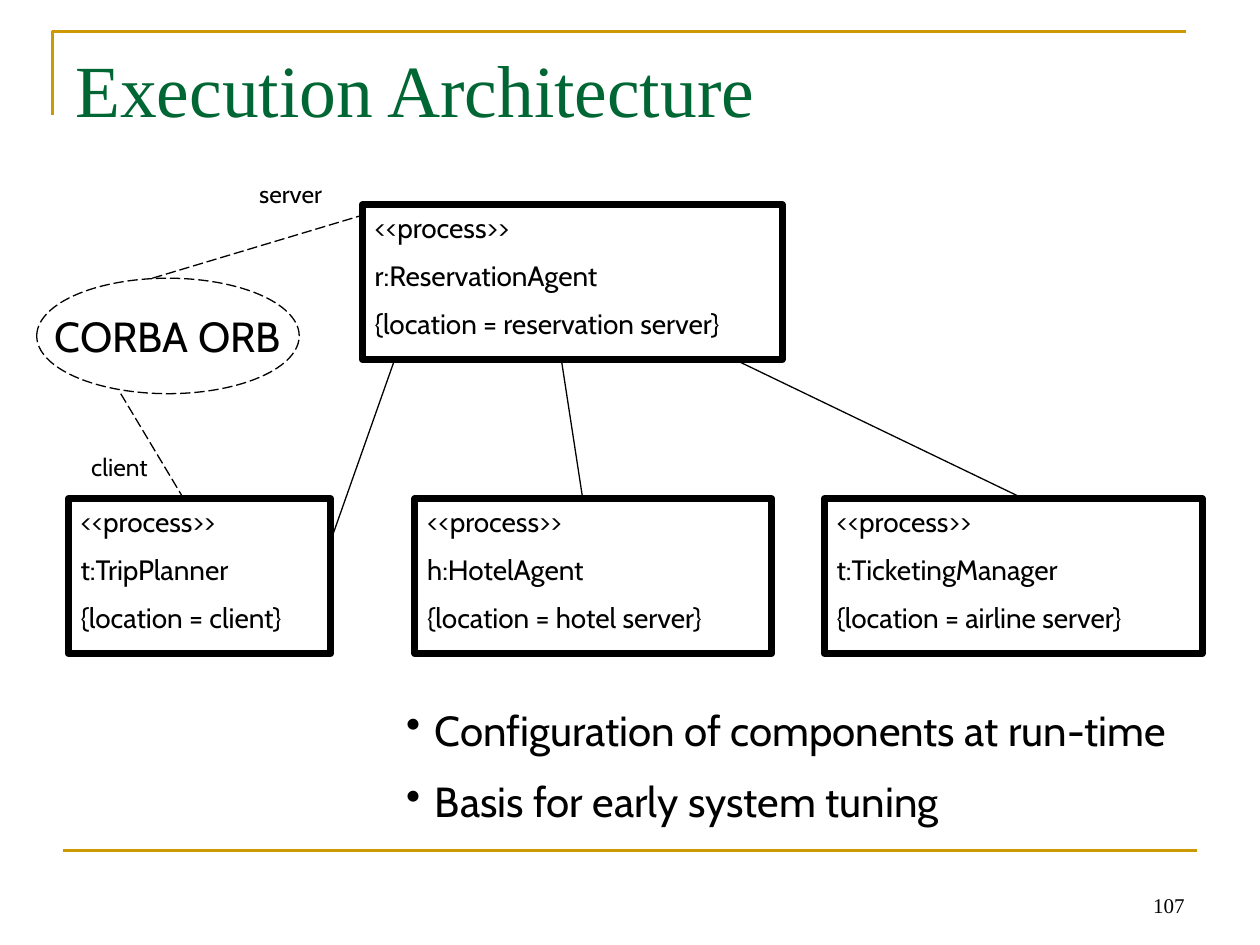
import lxml.etree
import pptx
import pptx.dml.color
import pptx.enum.dml
import pptx.enum.shapes
import pptx.enum.text
import pptx.oxml.ns
import pptx.util

Pt = pptx.util.Pt
Align = pptx.enum.text.PP_ALIGN
Anchor = pptx.enum.text.MSO_ANCHOR
Shape = pptx.enum.shapes.MSO_SHAPE
qn = pptx.oxml.ns.qn

BLACK = pptx.dml.color.RGBColor(0x00, 0x00, 0x00)
GOLD = pptx.dml.color.RGBColor(0xCC, 0x99, 0x00)
GREEN = pptx.dml.color.RGBColor(0x00, 0x66, 0x33)
SERIF = "Times New Roman"
SANS = "Cabin"


class Diagram:
    thin = 0.75
    thick = 4
    rule = 1.5
    bullet_indent = 16.5

    def __init__(self, slide):
        self.shapes = slide.shapes

    def stroke(self, line, color, width, dashed=False):
        line.color.rgb = color
        line.width = Pt(width)
        if dashed:
            line.dash_style = pptx.enum.dml.MSO_LINE.LONG_DASH

    def set_lines(self, frame, lines, size, font=SANS, color=BLACK,
                  align=Align.LEFT, anchor=Anchor.TOP, wrap=True, bullet=None):
        frame.word_wrap = wrap
        frame.vertical_anchor = anchor
        frame.text = "\n".join(lines)
        for index, paragraph in enumerate(frame.paragraphs):
            paragraph.alignment = align
            if index:
                paragraph.space_before = Pt(size / 2)
            if bullet:
                properties = paragraph._p.get_or_add_pPr()
                properties.set("marL", str(Pt(self.bullet_indent)))
                properties.set("indent", str(-Pt(self.bullet_indent)))
                mark = lxml.etree.SubElement(properties, qn("a:buChar"))
                mark.set("char", bullet)
            for run in paragraph.runs:
                run.font.name = font
                run.font.size = Pt(size)
                run.font.color.rgb = color

    def text(self, left, top, width, height, lines, size, **style):
        box = self.shapes.add_textbox(Pt(left), Pt(top), Pt(width), Pt(height))
        self.set_lines(box.text_frame, lines, size, **style)

    def outline(self, kind, left, top, width, height, line_width, dashed=False):
        shape = self.shapes.add_shape(kind, Pt(left), Pt(top), Pt(width), Pt(height))
        shape.shadow.inherit = False
        shape.fill.background()
        self.stroke(shape.line, BLACK, line_width, dashed)
        return shape

    def process(self, left, top, width, instance, location):
        box = self.outline(Shape.RECTANGLE, left, top, width, 88.5, self.thick)
        lines = ["<<process>>", instance, "{location = " + location + "}"]
        self.set_lines(box.text_frame, lines, 16)

    def broker(self, left, top, width, height, name):
        oval = self.outline(Shape.OVAL, left, top, width, height, self.thin, dashed=True)
        self.set_lines(oval.text_frame, [name], 24, align=Align.CENTER,
                       anchor=Anchor.MIDDLE, wrap=False)

    def link(self, start, end, color=BLACK, width=thin, dashed=False):
        points = [Pt(value) for value in (*start, *end)]
        line = self.shapes.add_connector(pptx.enum.shapes.MSO_CONNECTOR.STRAIGHT, *points)
        self.stroke(line.line, color, width, dashed)
        lxml.etree.SubElement(line._element.spPr, qn("a:effectLst"))

    def corner(self, bottom_left, top_left, top_right):
        builder = self.shapes.build_freeform(*[Pt(value) for value in bottom_left])
        builder.add_line_segments(
            [(Pt(x), Pt(y)) for x, y in (top_left, top_right)], close=False)
        frame = builder.convert_to_shape()
        frame.shadow.inherit = False
        frame.fill.background()
        self.stroke(frame.line, GOLD, self.rule)


def main():
    deck = pptx.Presentation()
    deck.slide_width = Pt(720)
    deck.slide_height = Pt(540)
    diagram = Diagram(deck.slides.add_slide(deck.slide_layouts[6]))

    diagram.corner((30, 66), (30, 18), (678, 18))
    diagram.link((36, 486), (684, 486), GOLD, Diagram.rule)
    diagram.text(36, 21.6, 648, 90, ["Execution Architecture"], 42,
                 font=SERIF, color=GREEN)
    diagram.text(516, 492, 168, 36, ["107"], 12, font=SERIF,
                 align=Align.RIGHT, anchor=Anchor.BOTTOM)

    agent_row, client_row = 117, 285
    diagram.process(207, agent_row, 240, "r:ReservationAgent", "reservation server")
    for left, width, instance, location in (
        (39, 150, "t:TripPlanner", "client"),
        (237, 204, "h:HotelAgent", "hotel server"),
        (471, 216, "t:TicketingManager", "airline server"),
    ):
        diagram.process(left, client_row, width, instance, location)

    diagram.broker(21, 159, 150, 66, "CORBA ORB")
    diagram.link((87, 159), (207, 123), dashed=True)
    diagram.link((69, 225), (105, client_row), dashed=True)
    for start_x, end in (
        (225, (189, 309)),
        (321, (333, client_row)),
        (423, (585, client_row)),
    ):
        diagram.link((start_x, 207), end)

    for left, top, role in ((141, 99, "server"), (45, 255, "client")):
        diagram.text(left, top, 132, 24, [role], 14)
    diagram.text(225, 399, 468, 79,
                 ["Configuration of components at run-time",
                  "Basis for early system tuning"], 24, bullet="•")

    deck.save("out.pptx")


if __name__ == "__main__":
    main()
